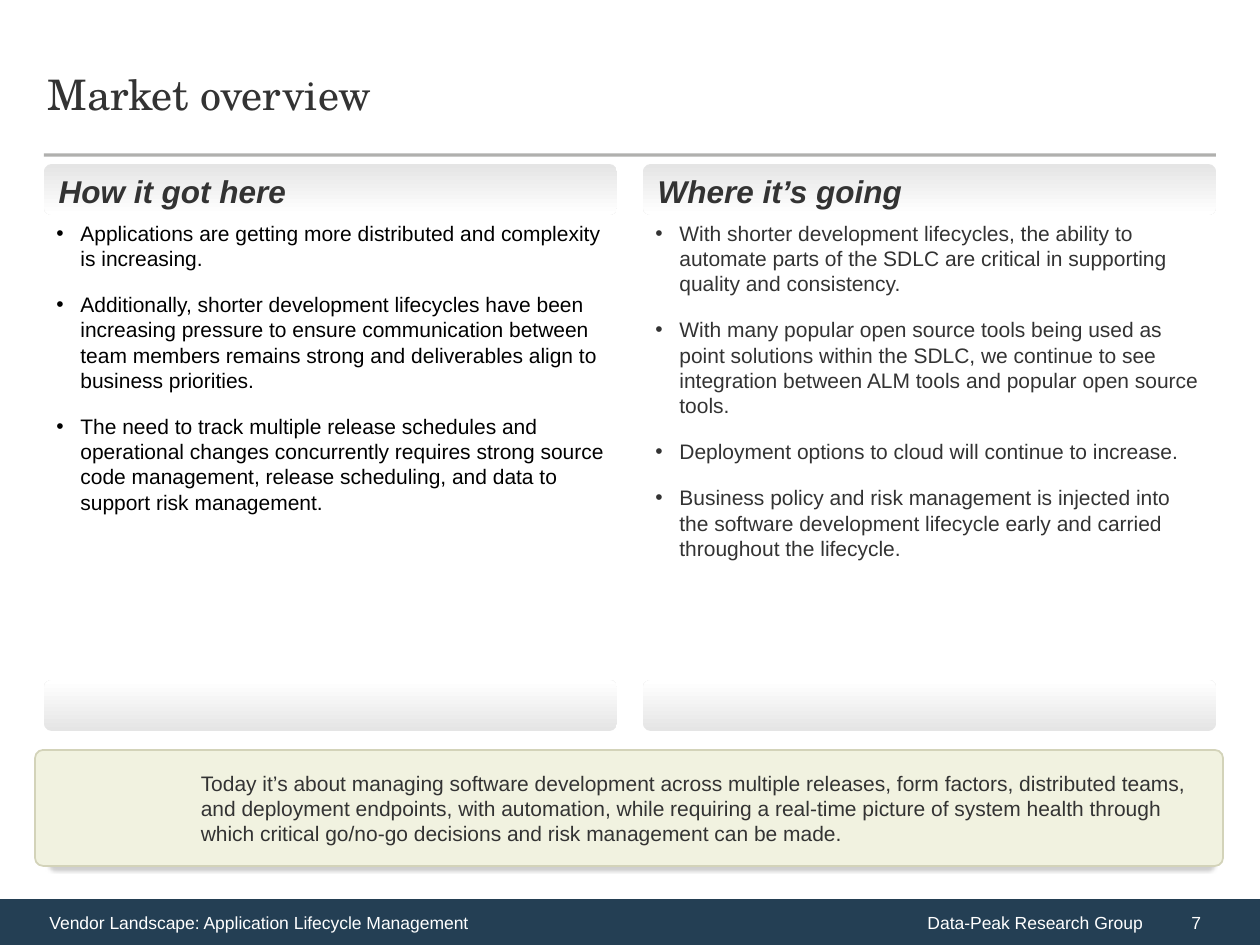
from lxml.etree import SubElement
from pptx import Presentation
from pptx.dml.color import RGBColor
from pptx.enum.shapes import MSO_CONNECTOR, MSO_SHAPE
from pptx.enum.text import MSO_ANCHOR, PP_ALIGN
from pptx.oxml.ns import qn
from pptx.util import Emu, Pt

THEME = {
    "body_font": "Arial", "title_font": "TeX Gyre Schola",
    "title_size": 24, "heading_size": 18, "body_size": 12, "footer_size": 10,
    "text": "333333", "black": "000000", "white": "FFFFFF",
    "navy": "243F54", "rule": "45433E", "band": "E5E5E5",
    "note": "F1F2E0", "note_edge": "D3D3B9", "note_shadow": "CECECE",
}


def px(*lengths):
    """Turn lengths in px (126 to the inch) into EMU."""
    scaled = [Emu(round(length * 914400 / 126)) for length in lengths]
    return scaled if len(scaled) > 1 else scaled[0]


def write(shape, *texts, size="body_size", color="text", font="body_font", bold=False,
          italic=False, align=PP_ALIGN.LEFT, anchor=MSO_ANCHOR.MIDDLE, margin=0,
          bullet=None, gap=0, line_spacing=None):
    """Write one paragraph per text, all in the same format."""
    frame = shape.text_frame
    frame.word_wrap = True
    frame.vertical_anchor = anchor
    for index, text in enumerate(texts):
        paragraph = frame.add_paragraph() if index else frame.paragraphs[0]
        paragraph.alignment = align
        paragraph.space_before = paragraph.space_after = Pt(gap)
        if line_spacing:
            paragraph.line_spacing = Pt(line_spacing)
        properties = paragraph._p.get_or_add_pPr()
        properties.set("marL", str(px(margin)))
        if bullet:
            properties.set("indent", str(-px(margin)))
            SubElement(properties, qn("a:buFont"), typeface=THEME["body_font"])
            SubElement(properties, qn("a:buChar"), char=bullet)
        run = paragraph.add_run()
        run.text = text
        run.font.name = THEME[font]
        run.font.size = Pt(THEME[size])
        run.font.bold = bold
        run.font.italic = italic
        run.font.color.rgb = RGBColor.from_string(THEME[color])


presentation = Presentation()
presentation.slide_width, presentation.slide_height = px(1260, 945)
slide = presentation.slides.add_slide(presentation.slide_layouts[6])
shapes = slide.shapes

# Footer
footer_bars = [
    (883, 377, "7", PP_ALIGN.LEFT, 296),
    (0, 1155, "Data-Peak Research Group", PP_ALIGN.RIGHT, 37),
]
for left, width, text, align, margin in footer_bars:
    bar = shapes.add_shape(MSO_SHAPE.RECTANGLE, *px(left, 899, width, 46))
    bar.shadow.inherit = False
    bar.fill.solid()
    bar.fill.fore_color.rgb = RGBColor.from_string(THEME["navy"])
    bar.line.fill.background()
    write(bar, text, size="footer_size", color="white", align=align, margin=margin)
footer_title = shapes.add_textbox(*px(0, 899, 498, 46))
write(footer_title, "Vendor Landscape: Application Lifecycle Management",
      size="footer_size", color="white", margin=37)

# Title and rule
title = shapes.add_textbox(*px(35, 37, 1188, 118))
write(title, "Market overview", size="title_size", font="title_font", line_spacing=26)
rule = shapes.add_connector(MSO_CONNECTOR.STRAIGHT, *px(44, 155, 1216, 155))
rule.line.width = Pt(1.75)
rule.line.color.rgb = RGBColor.from_string(THEME["rule"])
rule_color = rule._element.spPr.find(".//" + qn("a:srgbClr"))
SubElement(rule_color, qn("a:alpha"), val="42000")
SubElement(rule._element.spPr, qn("a:effectLst"))

# Two columns, each between a heading band and a turned closing band
columns = [
    (44, "How it got here", "black", [
        "Applications are getting more distributed and complexity is increasing.",
        "Additionally, shorter development lifecycles have been increasing pressure to ensure "
        "communication between team members remains strong and deliverables align to business "
        "priorities.",
        "The need to track multiple release schedules and operational changes concurrently "
        "requires strong source code management, release scheduling, and data to support risk "
        "management.",
    ]),
    (643, "Where it’s going", "text", [
        "With shorter development lifecycles, the ability to automate parts of the SDLC are "
        "critical in supporting quality and consistency.",
        "With many popular open source tools being used as point solutions within the SDLC, we "
        "continue to see integration between ALM tools and popular open source tools.",
        "Deployment options to cloud will continue to increase.",
        "Business policy and risk management is injected into the software development lifecycle "
        "early and carried throughout the lifecycle.",
    ]),
]
for left, heading, color, points in columns:
    for top, rotation in ((680, 180), (164, 0)):
        band = shapes.add_shape(MSO_SHAPE.ROUNDED_RECTANGLE, *px(left, top, 573, 51))
        band.adjustments[0] = 0.15
        band.rotation = rotation
        band.shadow.inherit = False
        band.line.fill.background()
        band.fill.gradient()
        band.fill.gradient_angle = 270
        for stop, stop_color in zip(band.fill.gradient_stops, ("band", "white")):
            stop.color.rgb = RGBColor.from_string(THEME[stop_color])
    write(band, heading, size="heading_size", bold=True, italic=True, anchor=MSO_ANCHOR.TOP)
    body = shapes.add_textbox(*px(left, 214, 573, 357))
    write(body, *points, color=color, anchor=MSO_ANCHOR.TOP, margin=24, bullet="•", gap=6)

# Closing note
note = shapes.add_shape(MSO_SHAPE.ROUNDED_RECTANGLE, *px(35, 750, 1188, 116))
note.adjustments[0] = 0.07
note.fill.solid()
note.fill.fore_color.rgb = RGBColor.from_string(THEME["note"])
note.line.color.rgb = RGBColor.from_string(THEME["note_edge"])
note.line.width = Pt(1)
note.shadow.inherit = False
effects = note._element.spPr.find(qn("a:effectLst"))
note_shadow = SubElement(effects, qn("a:outerShdw"), blurRad=str(Pt(2)), dist=str(Pt(2)),
                         dir="3600000", sx="98000", algn="ctr", rotWithShape="0")
SubElement(note_shadow, qn("a:srgbClr"), val=THEME["note_shadow"])
write(note,
      "Today it’s about managing software development across multiple releases, form factors, "
      "distributed teams, and deployment endpoints, with automation, while requiring a real-time "
      "picture of system health through which critical go/no-go decisions and risk management "
      "can be made.", margin=151)

presentation.save("out.pptx")
